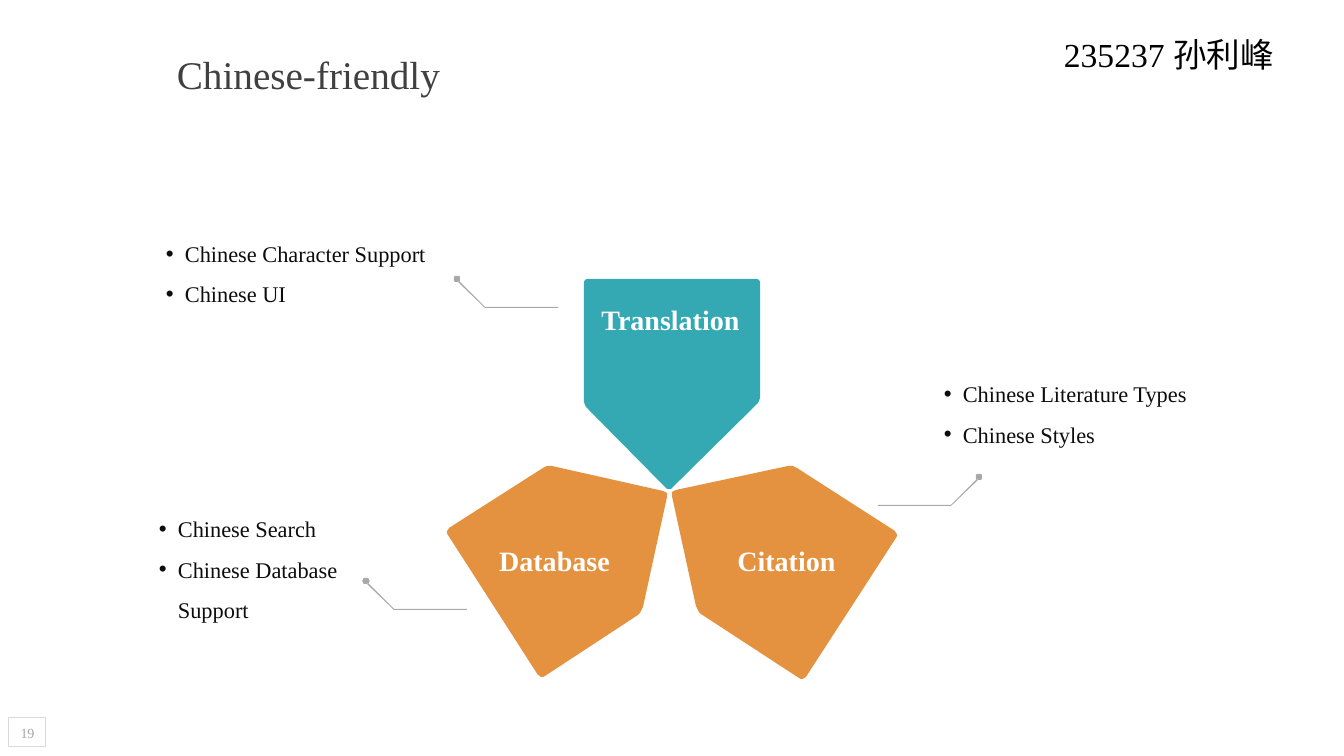
"""Build the Chinese-friendly slide: three petals, their leaders and bullet lists."""
import math
import pptx
import pptx.util
import pptx.dml.color
import pptx.enum.shapes
import pptx.enum.text
import lxml.etree

PX = 914400 / 100.8
FONT = "Times New Roman"
PETALS = [
    ("34A9B3", [(584, 279), (760, 279), (760, 401), (669, 491), (584, 405)]),
    ("E49140", [(671, 491), (697, 611), (803, 681), (899, 534), (793, 465)]),
    ("E49140", [(547, 465), (445, 531), (541, 679), (642, 612), (668, 492)]),
]
LABELS = [
    ("Translation", 580, 302),
    ("Database", 464, 543),
    ("Citation", 696, 543),
]
LISTS = [
    (["Chinese Character Support", "Chinese UI"], 156, 222, 297, 87),
    (["Chinese Search", "Chinese Database Support"], 149, 497, 214, 128),
    (["Chinese Literature Types", "Chinese Styles"], 934, 362, 275, 87),
]
LEADERS = [(457, 279, 1), (366, 581, 1), (979, 477, -1)]
HEADS = [
    ("Chinese-friendly", 167, 45, 286, 57, 28, "404040", False),
    ("235237 孙利峰", 1054, 29, 247, 50, 24, "000000", True),
]
PAGE = ("19", 9, 718, 37, 29)


def emu(n):
    return pptx.util.Emu(round(n * PX))


def hue(code):
    return pptx.dml.color.RGBColor.from_string(code)


def paint(shape, fill):
    shape.shadow.inherit = False
    shape.fill.solid()
    shape.fill.fore_color.rgb = hue(fill)
    shape.line.fill.background()


def write(para, text, size, color, bold=False):
    run = para.add_run()
    run.text = text
    run.font.name = FONT
    run.font.size = pptx.util.Pt(size)
    run.font.bold = bold
    run.font.color.rgb = hue(color)


def box(slide, x, y, w, h, wrap=True, inset=True):
    shape = slide.shapes.add_textbox(emu(x), emu(y), emu(w), emu(h))
    frame = shape.text_frame
    frame.word_wrap = wrap
    frame.auto_size = pptx.enum.text.MSO_AUTO_SIZE.SHAPE_TO_FIT_TEXT
    if not inset:
        bare(frame)
    return frame


def bare(frame):
    frame.margin_left = frame.margin_right = 0
    frame.margin_top = frame.margin_bottom = 0


def bullet(para):
    props = para._p.get_or_add_pPr()
    indent = round(19 * PX)
    props.set("marL", str(indent))
    props.set("indent", str(-indent))
    space = pptx.oxml.ns.qn
    lxml.etree.SubElement(props, space("a:buFont")).set("typeface", "Arial")
    lxml.etree.SubElement(props, space("a:buChar")).set("char", "•")
    para.line_spacing = 1.5


def toward(start, end, dist):
    part = dist / math.dist(start, end)
    return tuple(a + (b - a) * part for a, b in zip(start, end))


def soften(corners, cut=5, steps=4):
    points = []
    for i, tip in enumerate(corners):
        first = toward(tip, corners[i - 1], cut)
        last = toward(tip, corners[(i + 1) % len(corners)], cut)
        for k in range(steps + 1):
            t = k / steps
            points.append(tuple(
                (1 - t) ** 2 * a + 2 * t * (1 - t) * b + t * t * c
                for a, b, c in zip(first, tip, last)))
    return points


def outline(slide, loops, fill):
    pen = slide.shapes.build_freeform(*loops[0][0], scale=PX)
    pen.add_line_segments(loops[0][1:], close=True)
    for loop in loops[1:]:
        pen.move_to(*loop[0])
        pen.add_line_segments(loop[1:], close=True)
    paint(pen.convert_to_shape(), fill)


def leader(slide, x, y, side, rad=3.5, drop=28, run=101):
    turns = [k * math.pi / 10 for k in range(20)]
    dot = [(x + rad * math.cos(t), y + rad * math.sin(t)) for t in turns]
    steps = [(2, 2), (drop, drop), (run, drop), (run, drop + 1),
             (drop - 0.4, drop + 1), (1.3, 2.7)]
    strip = [(x + side * a, y + b) for a, b in steps]
    outline(slide, [dot, strip], "A8A8A8")


def main():
    deck = pptx.Presentation()
    deck.slide_width, deck.slide_height = emu(1344), emu(756)
    slide = deck.slides.add_slide(deck.slide_layouts[6])
    center = pptx.enum.text.PP_ALIGN.CENTER

    for fill, corners in PETALS:
        outline(slide, [soften(corners)], fill)

    text, x, y, w, h = PAGE
    page = slide.shapes.add_shape(
        pptx.enum.shapes.MSO_SHAPE.RECTANGLE, emu(x), emu(y), emu(w), emu(h))
    page.shadow.inherit = False
    page.fill.background()
    page.line.color.rgb = hue("D9D9D9")
    page.line.width = pptx.util.Pt(0.75)
    bare(page.text_frame)
    page.text_frame.vertical_anchor = pptx.enum.text.MSO_ANCHOR.MIDDLE
    para = page.text_frame.paragraphs[0]
    para.alignment = center
    write(para, text, 10, "A6A6A6")

    for text, x, y in LABELS:
        para = box(slide, x, y, 181, 34, inset=False).paragraphs[0]
        para.alignment = center
        write(para, text, 20, "FFFFFF", True)

    for text, x, y, w, h, size, color, wrap in HEADS:
        write(box(slide, x, y, w, h, wrap).paragraphs[0], text, size, color)

    for spot in LEADERS:
        leader(slide, *spot)

    for items, *place in LISTS:
        frame = box(slide, *place)
        for i, item in enumerate(items):
            para = frame.add_paragraph() if i else frame.paragraphs[0]
            bullet(para)
            write(para, item, 16, "0D0D0D")

    deck.save("out.pptx")


if __name__ == "__main__":
    main()
